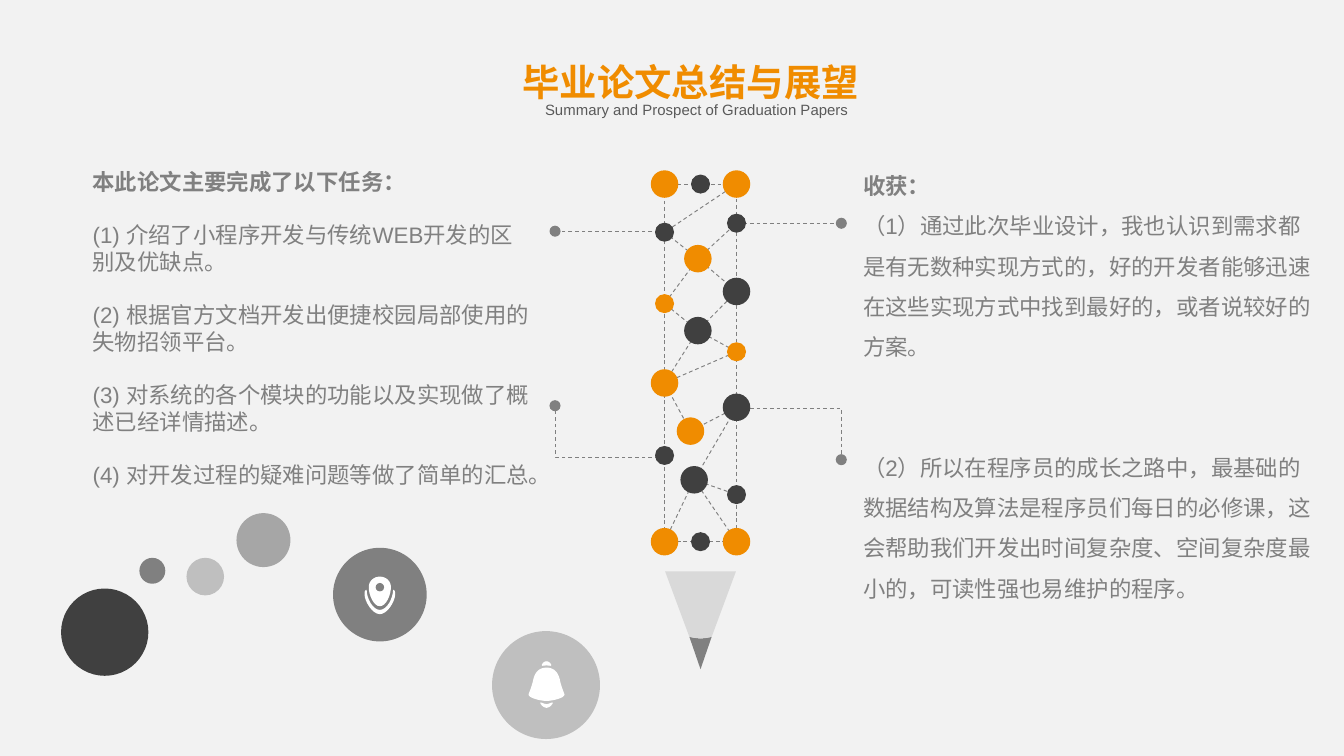
from lxml.etree import SubElement
from pptx import Presentation
from pptx.dml.color import RGBColor
from pptx.enum.dml import MSO_LINE
from pptx.enum.shapes import MSO_CONNECTOR as Connector, MSO_SHAPE as Shape
from pptx.enum.text import MSO_ANCHOR as Anchor, MSO_AUTO_SIZE as AutoSize, PP_ALIGN as Align
from pptx.oxml.ns import qn
from pptx.util import Cm, Pt

ORANGE = RGBColor(0xF0, 0x8C, 0x00)
DARK = RGBColor(0x40, 0x40, 0x40)
TEXT_GREY = RGBColor(0x59, 0x59, 0x59)
GREY = RGBColor(0x80, 0x80, 0x80)
MID_GREY = RGBColor(0xA6, 0xA6, 0xA6)
SILVER = RGBColor(0xBF, 0xBF, 0xBF)
LIGHT = RGBColor(0xD9, 0xD9, 0xD9)
PAPER = RGBColor(0xF2, 0xF2, 0xF2)
WHITE = RGBColor(0xFF, 0xFF, 0xFF)

LARGE, SMALL = 0.52, 0.36
LEFT, MIDDLE, RIGHT = 12.56, 13.24, 13.92
TOP, BOTTOM = 3.48, 10.24

# name: (centre x, centre y, diameter, colour), in cm
NODES = {
    "top left": (LEFT, TOP, LARGE, ORANGE),
    "top middle": (MIDDLE, TOP, SMALL, DARK),
    "top right": (RIGHT, TOP, LARGE, ORANGE),
    "left 1": (LEFT, 4.39, SMALL, DARK),
    "left 2": (LEFT, 5.74, SMALL, ORANGE),
    "left 3": (LEFT, 7.24, LARGE, ORANGE),
    "left 4": (LEFT, 8.61, SMALL, DARK),
    "inner 1": (13.19, 4.89, LARGE, ORANGE),
    "inner 2": (13.19, 6.25, LARGE, DARK),
    "inner 3": (13.05, 8.15, LARGE, ORANGE),
    "inner 4": (13.12, 9.07, LARGE, DARK),
    "right 1": (RIGHT, 4.22, SMALL, DARK),
    "right 2": (RIGHT, 5.51, LARGE, DARK),
    "right 3": (RIGHT, 6.65, SMALL, ORANGE),
    "right 4": (RIGHT, 7.70, LARGE, DARK),
    "right 5": (RIGHT, 9.35, SMALL, DARK),
    "bottom left": (LEFT, BOTTOM, LARGE, ORANGE),
    "bottom middle": (MIDDLE, BOTTOM, SMALL, DARK),
    "bottom right": (RIGHT, BOTTOM, LARGE, ORANGE),
}
WEBS = [
    ["top right", "left 1", "inner 1", "right 2", "inner 2", "left 3",
     "inner 3", "right 4", "inner 4", "bottom right"],
    ["bottom left", "inner 4", "right 5"],
    ["left 3", "right 3", "inner 2", "left 2", "inner 1", "right 1"],
]
BUBBLES = [
    (10.32, 12.95, 2.04, SILVER),
    (7.18, 11.24, 1.77, GREY),
    (4.98, 10.21, 1.02, MID_GREY),
    (3.88, 10.90, 0.71, SILVER),
    (2.88, 10.79, 0.49, GREY),
    (1.98, 11.95, 1.65, DARK),
]
CALLOUT_LINES = [
    ((12.45, 4.37), (10.49, 4.37)),
    ((RIGHT, 4.22), (15.90, 4.22)),
]
CALLOUT_ELBOWS = [
    [(RIGHT, 7.72), (15.90, 7.72), (15.90, 8.69)],
    [(12.45, 8.64), (10.49, 8.64), (10.49, 7.67)],
]
# Right halves of symmetrical outlines, from the axis and back to it
PENCIL_WOOD = [(0, 0), (0.67, 0), (0.21, 1.24), (0.1, 1.26), (0, 1.27)]
PENCIL_LEAD = [(0, 1.27), (0.1, 1.26), (0.21, 1.24), (0, 1.85)]
# Right halves as cubic curves: a start, then three points for each segment
CURVED_ICONS = [
    (7.18, 10.90, [(0, 0), (0.12, 0), (0.21, 0.09), (0.21, 0.2),
                   (0.21, 0.34), (0.12, 0.56), (0, 0.56)]),
    (7.18, 11.15, [(0, 0.38), (0.14, 0.38), (0.25, 0.15), (0.25, 0),
                   (0.28, 0), (0.29, 0.04), (0.29, 0.08),
                   (0.29, 0.22), (0.14, 0.46), (0, 0.46)]),
    (10.33, 12.50, [(0, 0), (0.04, 0), (0.08, 0.04), (0.09, 0.07),
                    (0.09, 0.1), (0.05, 0.08), (0, 0.08)]),
    (10.33, 12.62, [(0, 0), (0.15, 0), (0.22, 0.1), (0.25, 0.22),
                    (0.26, 0.29), (0.3, 0.4), (0.34, 0.51),
                    (0.34, 0.57), (0.13, 0.63), (0, 0.63)]),
    (10.33, 13.28, [(0, 0.03), (0.04, 0.03), (0.08, 0), (0.12, 0),
                    (0.12, 0.03), (0.06, 0.1), (0, 0.1)]),
]

TASKS = [
    "本此论文主要完成了以下任务：",
    "(1) 介绍了小程序开发与传统WEB开发的区别及优缺点。",
    "(2) 根据官方文档开发出便捷校园局部使用的失物招领平台。",
    "(3) 对系统的各个模块的功能以及实现做了概述已经详情描述。",
    "(4) 对开发过程的疑难问题等做了简单的汇总。",
]
GAINS = [
    "收获：",
    "（1）通过此次毕业设计，我也认识到需求都是有无数种实现方式的，好的开发者能够迅速在这些实现方式中找到最好的，或者说较好的方案。",
    "（2）所以在程序员的成长之路中，最基础的数据结构及算法是程序员们每日的必修课，这会帮助我们开发出时间复杂度、空间复杂度最小的，可读性强也易维护的程序。",
]


def set_all(target, values):
    for name, value in values.items():
        setattr(target, name, value)


def place(box, left, top, width, height, side=0, edge=0):
    """Move a text box and set its inner margins, all in cm."""
    set_all(box, {"left": Cm(left), "top": Cm(top), "width": Cm(width), "height": Cm(height)})
    set_all(box.text_frame, {
        "word_wrap": True, "auto_size": AutoSize.NONE, "vertical_anchor": Anchor.TOP,
        "margin_left": Cm(side), "margin_right": Cm(side),
        "margin_top": Cm(edge), "margin_bottom": Cm(edge),
    })


def write(para, text, size, color, bold=False, **layout):
    span = para.add_run()
    span.text = text
    set_all(span.font, {"name": "Arial", "size": Pt(size), "bold": bold})
    span.font.color.rgb = color
    set_all(para, {"space_before": Pt(0), "line_spacing": 1.0, **layout})


def write_list(box, texts, gaps, line_spacing):
    """Write a bold heading and plain items, with a gap in points above each."""
    frame = box.text_frame
    for index, (text, gap) in enumerate(zip(texts, gaps)):
        para = frame.add_paragraph() if index else frame.paragraphs[0]
        write(para, text, 12, GREY, bold=index == 0, alignment=Align.LEFT,
              space_before=Pt(gap), line_spacing=line_spacing)
        properties = para._p.get_or_add_pPr()
        properties.set("marL", "0")
        properties.set("indent", "0")
        SubElement(properties, qn("a:buNone"))


def dash(shape, dot_end=False):
    shape.line.color.rgb = GREY
    set_all(shape.line, {"width": Pt(0.5), "dash_style": MSO_LINE.DASH})
    if dot_end:
        SubElement(shape.line._get_or_add_ln(), qn("a:tailEnd"), type="oval")


def add_circle(page, x, y, diameter, color):
    size = Cm(diameter)
    circle = page.shapes.add_shape(
        Shape.OVAL, Cm(x - diameter / 2), Cm(y - diameter / 2), size, size)
    fill_plain(circle, color)


def fill_plain(shape, color):
    shape.shadow.inherit = False
    shape.fill.solid()
    shape.fill.fore_color.rgb = color
    shape.line.fill.background()


def add_path(page, points, close=False):
    start, *rest = [(Cm(x), Cm(y)) for x, y in points]
    builder = page.shapes.build_freeform(*start)
    builder.add_line_segments(rest, close=close)
    return builder.convert_to_shape()


def add_dashed_path(page, points, dot_end=False):
    path = add_path(page, points)
    path.shadow.inherit = False
    path.fill.background()
    dash(path, dot_end)


def add_callout_line(page, start, end):
    line = page.shapes.add_connector(
        Connector.STRAIGHT, *(Cm(value) for value in start + end))
    dash(line, dot_end=True)
    SubElement(line._element.spPr, qn("a:effectLst"))


def add_mirrored(page, x, y, half, color):
    """Fill the outline made of a right half and its mirror image about x."""
    outline = half + [(-dx, dy) for dx, dy in reversed(half)]
    fill_plain(add_path(page, [(x + dx, y + dy) for dx, dy in outline], close=True), color)


def sample_curve(controls, steps=8):
    """Turn joined cubic Bezier segments into points."""
    points = [controls[0]]
    for first in range(0, len(controls) - 1, 3):
        segment = controls[first:first + 4]
        for step in range(1, steps + 1):
            t = step / steps
            weights = ((1 - t) ** 3, 3 * t * (1 - t) ** 2, 3 * t * t * (1 - t), t ** 3)
            points.append(tuple(sum(w * p[axis] for w, p in zip(weights, segment))
                                for axis in (0, 1)))
    return points


def add_pencil(page):
    rail = page.shapes.add_shape(
        Shape.RECTANGLE, Cm(LEFT), Cm(TOP), Cm(RIGHT - LEFT), Cm(BOTTOM - TOP))
    rail.shadow.inherit = False
    rail.fill.background()
    dash(rail)
    for web in WEBS:
        add_dashed_path(page, [NODES[name][:2] for name in web])
    for node in NODES.values():
        add_circle(page, *node)
    add_mirrored(page, MIDDLE, 10.8, PENCIL_LEAD, GREY)
    add_mirrored(page, MIDDLE, 10.8, PENCIL_WOOD, LIGHT)


def add_texts(page):
    title, tasks, gains = page.placeholders
    place(title, 9.6, 0.99, 6.91, 1.12, edge=0.13)
    write(title.text_frame.paragraphs[0], "毕业论文总结与展望", 20, ORANGE,
          bold=True, alignment=Align.CENTER)
    subtitle = page.shapes.add_textbox(0, 0, 0, 0)
    place(subtitle, 10.01, 1.9, 6.32, 0.33)
    write(subtitle.text_frame.paragraphs[0], "Summary and Prospect of Graduation Papers",
          8, TEXT_GREY, alignment=Align.CENTER)
    place(tasks, 1.5, 3.05, 8.79, 6.4, side=0.25, edge=0.13)
    write_list(tasks, TASKS, [0, 14, 14, 14, 14], 1.0)
    place(gains, 16.31, 3.0, 8.48, 9.07)
    write_list(gains, GAINS, [0, 0, 43], 1.5)


def main():
    deck = Presentation()
    set_all(deck, {"slide_width": Cm(25.4), "slide_height": Cm(14.29)})
    page = deck.slides.add_slide(deck.slide_layouts.get_by_name("Two Content"))
    page.background.fill.solid()
    page.background.fill.fore_color.rgb = PAPER
    for start, end in CALLOUT_LINES:
        add_callout_line(page, start, end)
    for elbow in CALLOUT_ELBOWS:
        add_dashed_path(page, elbow, dot_end=True)
    add_pencil(page)
    add_texts(page)
    for bubble in BUBBLES:
        add_circle(page, *bubble)
    for x, y, half in CURVED_ICONS:
        add_mirrored(page, x, y, sample_curve(half), WHITE)
    add_circle(page, 7.18, 11.1, 0.16, GREY)
    deck.save("out.pptx")


if __name__ == "__main__":
    main()
